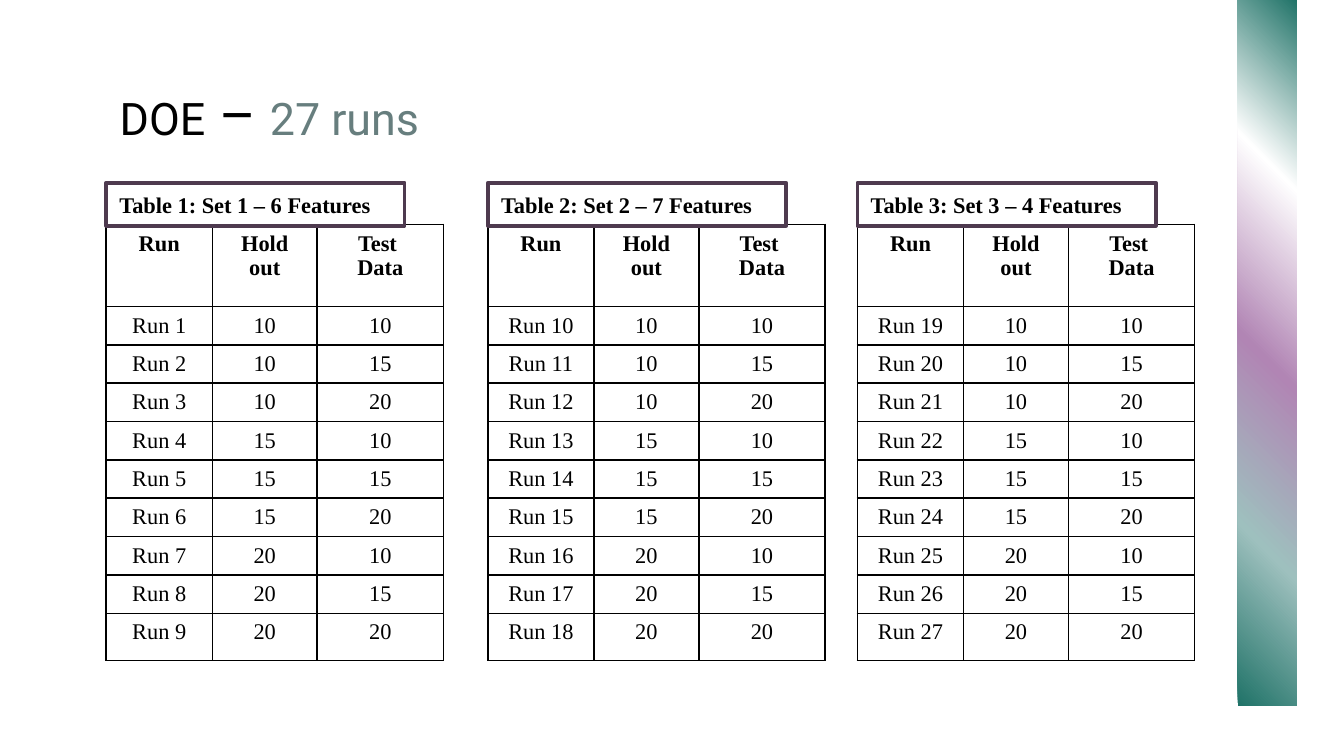
from lxml import etree
from pptx import Presentation
from pptx.dml.color import RGBColor
from pptx.enum import shapes, text
from pptx.oxml import ns
from pptx.util import Pt

SERIF = "Times New Roman"
LEVELS = [10, 15, 20]
COLS = [56.88, 56.16, 67.68]
HEAD, ROW, LAST = 43.92, 18.72, 25.2
STOPS = [(0, "207368"), (24, "9EC0BE"), (49, "B185B4"), (75, "FFFFFF"), (100, "207368")]
SETS = [(56.88, 6), (261.36, 7), (459.36, 4)]


def tint(code):
    return RGBColor.from_string(code)


def add_run(para, words, size=12, font=SERIF, color="000000", bold=False):
    run = para.add_run()
    run.text = words
    run.font.size = Pt(size)
    run.font.name = font
    run.font.bold = bold
    run.font.color.rgb = tint(color)


def add_node(parent, tag, **attrs):
    node = etree.SubElement(parent, ns.qn(tag))
    for key, value in attrs.items():
        node.set(key, str(value))
    return node


def add_box(slide, left, top, width, height):
    box = slide.shapes.add_shape(
        shapes.MSO_SHAPE.RECTANGLE, Pt(left), Pt(top), Pt(width), Pt(height))
    box.shadow.inherit = False
    return box


def add_bar(slide):
    bar = add_box(slide, 663.12, -0.72, 31.68, 378.72)
    bar.rotation = 180
    bar._element.spPr.find(ns.qn("a:xfrm")).set("flipH", "1")
    bar.line.fill.background()
    bar.fill.gradient()
    grad = bar._element.spPr.find(ns.qn("a:gradFill"))
    for child in list(grad):
        grad.remove(child)
    stops = add_node(grad, "a:gsLst")
    for place, code in STOPS:
        stop = add_node(stops, "a:gs", pos=place * 1000)
        add_node(stop, "a:srgbClr", val=code)
    add_node(grad, "a:lin", ang=45 * 60000, scaled=0)


def add_title(slide):
    title = slide.shapes.title
    title.left, title.top = Pt(56.88), Pt(35.28)
    title.width, title.height = Pt(606.96), Pt(45.36)
    frame = title.text_frame
    frame.margin_left = frame.margin_right = Pt(7.2)
    frame.margin_top = frame.margin_bottom = Pt(7.2)
    frame.vertical_anchor = text.MSO_ANCHOR.TOP
    para = frame.paragraphs[0]
    para.alignment = text.PP_ALIGN.LEFT
    add_run(para, "DOE", 24, "Roboto")
    add_run(para, " – ", 30, "Roboto")
    add_run(para, "27 runs", 24, "Roboto", "677E7E")


def add_edges(cell):
    props = cell._tc.get_or_add_tcPr()
    for side in ("a:lnL", "a:lnR", "a:lnT", "a:lnB"):
        edge = add_node(props, side, w=Pt(0.92))
        fill = add_node(edge, "a:solidFill")
        add_node(fill, "a:srgbClr", val="000000")


def fill_cell(cell, lines, bold):
    add_edges(cell)
    cell.fill.background()
    frame = cell.text_frame
    for index, words in enumerate(lines):
        para = frame.add_paragraph() if index else frame.paragraphs[0]
        para.alignment = text.PP_ALIGN.CENTER
        add_run(para, words, bold=bold)


def add_grid(slide, left, first):
    pairs = [(hold, test) for hold in LEVELS for test in LEVELS]
    rows = [[["Run"], ["Hold out"], ["Test ", "Data"]]]
    for num, (hold, test) in enumerate(pairs, first):
        rows.append([[f"Run {num}"], [str(hold)], [str(test)]])
    highs = [HEAD] + [ROW] * (len(pairs) - 1) + [LAST]
    grid = slide.shapes.add_table(
        len(rows), len(COLS), Pt(left), Pt(120.24), Pt(sum(COLS)), Pt(sum(highs))).table
    grid.first_row = grid.horz_banding = False
    for col, width in zip(grid.columns, COLS):
        col.width = Pt(width)
    for r, (row, high) in enumerate(zip(rows, highs)):
        grid.rows[r].height = Pt(high)
        for c, lines in enumerate(row):
            fill_cell(grid.cell(r, c), lines, r == 0)


def add_label(slide, left, words):
    label = add_box(slide, left, 97.92, 159.84, 23.04)
    label.fill.solid()
    label.fill.fore_color.rgb = tint("FFFFFF")
    label.line.color.rgb = tint("4E3A4F")
    label.line.width = Pt(2)
    frame = label.text_frame
    frame.word_wrap = True
    frame.vertical_anchor = text.MSO_ANCHOR.MIDDLE
    para = frame.paragraphs[0]
    para.alignment = text.PP_ALIGN.LEFT
    add_run(para, words, bold=True)


def main():
    deck = Presentation()
    deck.slide_width, deck.slide_height = Pt(720), Pt(405)
    slide = deck.slides.add_slide(deck.slide_layouts[5])
    add_bar(slide)
    add_title(slide)
    for index, (left, _) in enumerate(SETS):
        add_grid(slide, left, index * 9 + 1)
    for num, (left, count) in enumerate(SETS, 1):
        add_label(slide, left, f"Table {num}: Set {num} – {count} Features")
    deck.save("out.pptx")


if __name__ == "__main__":
    main()
